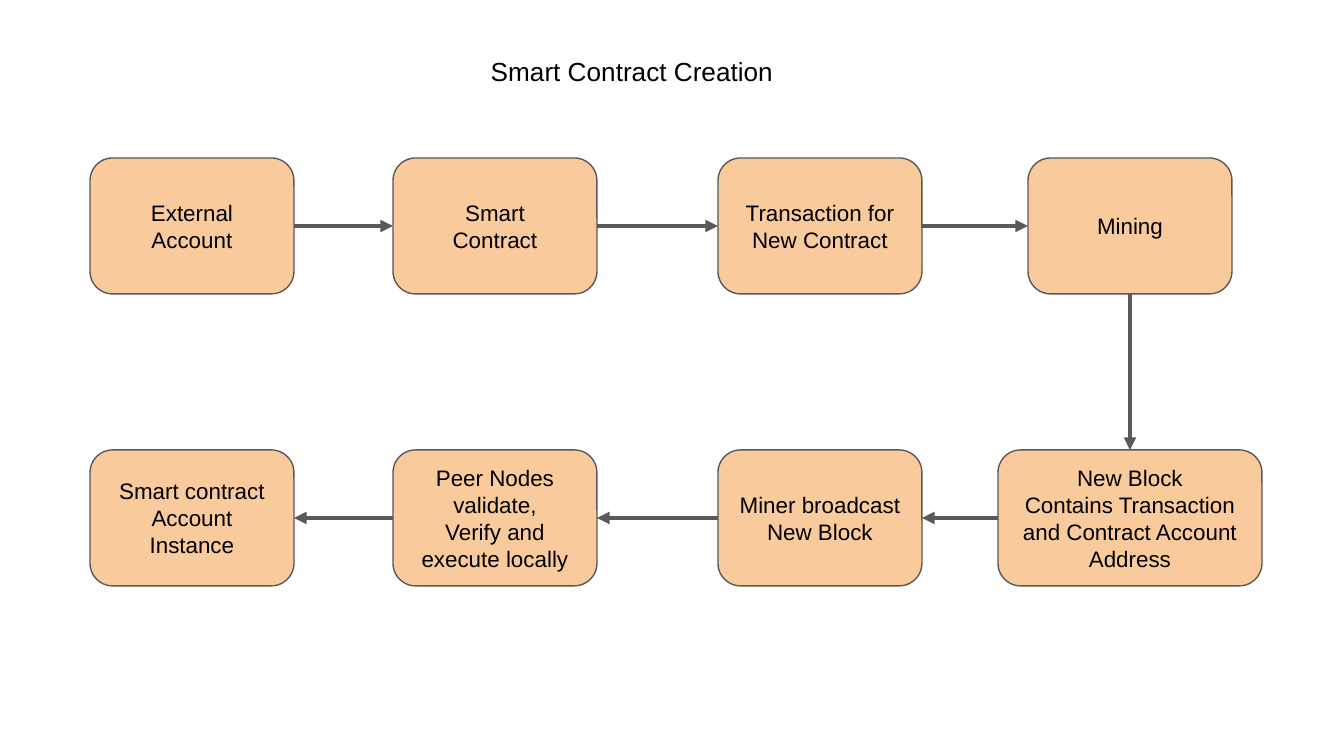
from itertools import pairwise

from lxml import etree
from pptx import Presentation
from pptx.dml.color import RGBColor
from pptx.enum import shapes, text
from pptx.oxml.ns import qn
from pptx.util import Emu, Pt

SCALE = 914400 / 134.4
INK = {"box": "F9CB9C", "line": "595959", "text": "000000"}
WIDE, HIGH = 204, 136
TOP, LOW = 158, 450
TOPS, LEFT, FOOT, RIGHT = range(4)
STEPS = [
    (90, TOP, WIDE, ["External", "Account"]),
    (393, TOP, WIDE, ["Smart", "Contract"]),
    (718, TOP, WIDE, ["Transaction for New Contract"]),
    (1028, TOP, WIDE, ["Mining"]),
    (998, LOW, 264, ["New Block", "Contains Transaction and Contract Account Address"]),
    (718, LOW, WIDE, ["Miner broadcast", "New Block"]),
    (393, LOW, WIDE, ["Peer Nodes validate,", "Verify and execute locally"]),
    (90, LOW, WIDE, ["Smart contract", "Account Instance"]),
]
TURN = 3


def px(num):
    """Turn whole pixels into EMU."""
    return Emu(round(num * SCALE))


def hue(name):
    """Look up a named colour."""
    return RGBColor.from_string(INK[name])


def put(item, vals):
    """Set each attribute in vals on item."""
    for key, val in vals.items():
        setattr(item, key, val)


def write(shape, lines, size, anchor):
    """Fill a shape with centred paragraphs."""
    frame = shape.text_frame
    frame.text = "\n".join(lines)
    put(frame, {"word_wrap": True, "auto_size": text.MSO_AUTO_SIZE.NONE,
                "vertical_anchor": anchor})
    put(frame, {f"margin_{side}": px(13) for side in ("left", "right", "top", "bottom")})
    for para in frame.paragraphs:
        para.alignment = text.PP_ALIGN.CENTER
        for run in para.runs:
            put(run.font, {"name": "Arial", "size": Pt(size)})
            run.font.color.rgb = hue("text")


def add_title(slide, words):
    """Place and format the title."""
    title = slide.shapes.title
    put(title, {"left": px(266), "top": px(42), "width": px(732), "height": px(86)})
    write(title, [words], 14, text.MSO_ANCHOR.TOP)


def add_step(slide, left, top, width, lines):
    """Draw one rounded process box."""
    kind = shapes.MSO_SHAPE.FLOWCHART_ALTERNATE_PROCESS
    box = slide.shapes.add_shape(kind, px(left), px(top), px(width), px(HIGH))
    box.shadow.inherit = False
    box.fill.solid()
    box.fill.fore_color.rgb = hue("box")
    box.line.color.rgb = hue("line")
    box.line.width = Pt(0.75)
    write(box, lines, 12, text.MSO_ANCHOR.MIDDLE)
    return box


def add_arrow(slide, start, end, sites):
    """Join two boxes with an arrow."""
    arrow = slide.shapes.add_connector(shapes.MSO_CONNECTOR.STRAIGHT, 0, 0, 0, 0)
    arrow.begin_connect(start, sites[0])
    arrow.end_connect(end, sites[1])
    arrow.line.color.rgb = hue("line")
    arrow.line.width = Pt(2.25)
    props = arrow.line._get_or_add_ln()
    etree.SubElement(props, qn("a:tailEnd"), type="triangle")
    etree.SubElement(props.getparent(), qn("a:effectLst"))


def main():
    """Build the flow chart slide."""
    deck = Presentation()
    put(deck, {"slide_width": px(1344), "slide_height": px(756)})
    slide = deck.slides.add_slide(deck.slide_layouts[5])
    add_title(slide, "Smart Contract Creation")
    boxes = [add_step(slide, *step) for step in STEPS]
    for num, (start, end) in enumerate(pairwise(boxes)):
        if num == TURN:
            sites = FOOT, TOPS
        else:
            sites = (RIGHT, LEFT) if num < TURN else (LEFT, RIGHT)
        add_arrow(slide, start, end, sites)
    deck.save("out.pptx")


if __name__ == "__main__":
    main()
